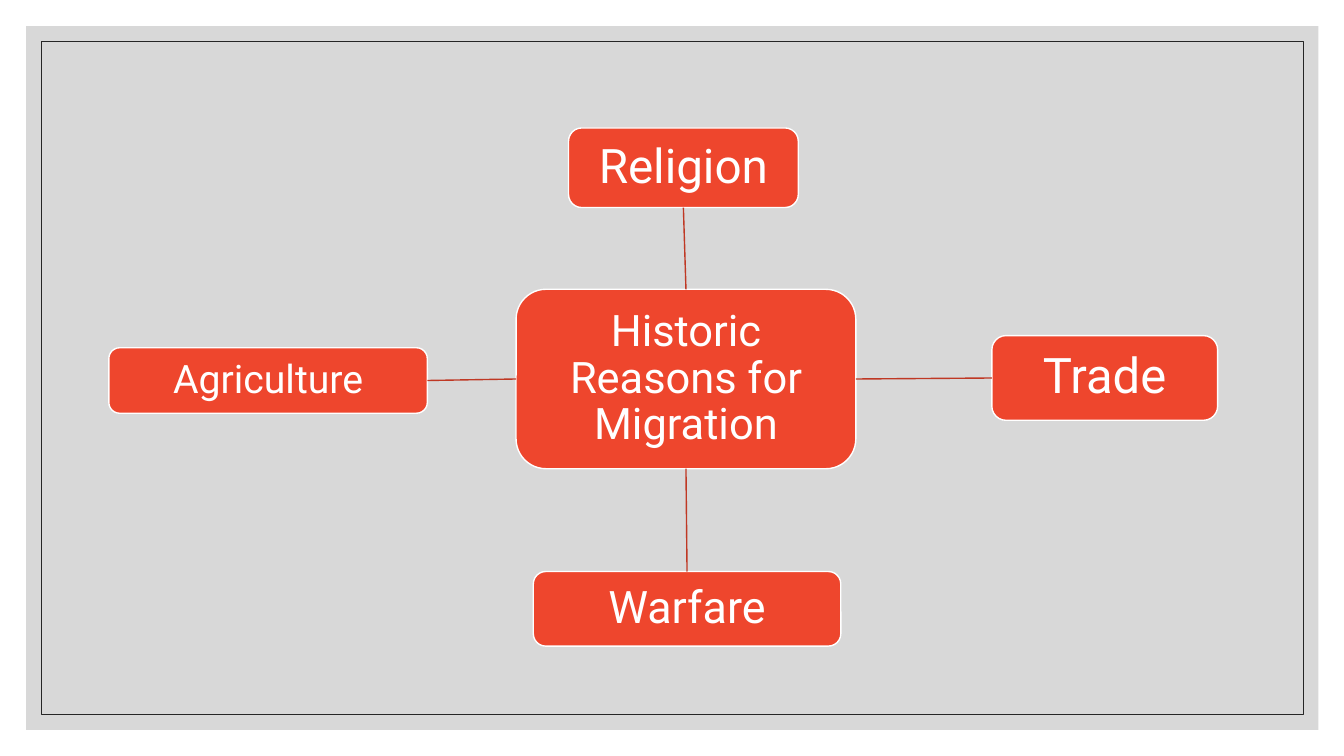
from dataclasses import dataclass

from lxml import etree
from pptx import Presentation
from pptx import util as u
from pptx.dml.color import RGBColor
from pptx.enum import shapes, text
from pptx.oxml.ns import qn
from pptx.shapes.autoshape import Shape
from pptx.slide import Slide

WIDTH, HEIGHT = u.Inches(13.333), u.Inches(7.5)
TOP, LEFT, BOTTOM, RIGHT = range(4)


@dataclass(frozen=True)
class Theme:
    font: str = "Roboto"
    backdrop: str = "BFBFBF"
    backdrop_opacity: int = 60
    frame: str = "262626"
    node: str = "EE462D"
    light: str = "FFFFFF"
    link: str = "BF3824"
    center_size: int = 31
    religion_size: int = 34
    trade_size: int = 35
    warfare_size: int = 32
    agriculture_size: int = 28


THEME = Theme()


@dataclass(frozen=True)
class Area:
    """Left, top, width and height as percentages of the slide."""
    left: float
    top: float
    width: float
    height: float


@dataclass(frozen=True)
class Node:
    label: str
    area: Area
    size: int
    margin: float = 0.09


@dataclass(frozen=True)
class Branch:
    node: Node
    center_side: int
    node_side: int


BACKDROP = Area(1.95, 3.47, 96.15, 93.07)
FRAME = Area(3.08, 5.47, 93.9, 89.07)
CENTER = Node("Historic Reasons for Migration",
              Area(38.4, 38.27, 25.28, 23.73), THEME.center_size)
BRANCHES = [
    Branch(Node("Religion", Area(42.3, 16.93, 17.1, 10.53), THEME.religion_size), TOP, BOTTOM),
    Branch(Node("Trade", Area(73.8, 44.4, 16.8, 11.2), THEME.trade_size, 0.1), RIGHT, LEFT),
    Branch(Node("Warfare", Area(39.68, 75.6, 22.88, 9.87), THEME.warfare_size), BOTTOM, TOP),
    Branch(Node("Agriculture", Area(8.1, 46, 23.7, 8.67), THEME.agriculture_size, 0.08), LEFT, RIGHT),
]


def color(value: str) -> RGBColor:
    return RGBColor.from_string(value)


def add_area(slide: Slide, kind: shapes.MSO_SHAPE, area: Area) -> Shape:
    shape = slide.shapes.add_shape(
        kind,
        round(WIDTH * area.left / 100), round(HEIGHT * area.top / 100),
        round(WIDTH * area.width / 100), round(HEIGHT * area.height / 100))
    shape.shadow.inherit = False
    return shape


def set_line(shape, value: str, width: float) -> None:
    shape.line.color.rgb = color(value)
    shape.line.width = u.Pt(width)


def set_fill(shape: Shape, value: str) -> None:
    shape.fill.solid()
    shape.fill.fore_color.rgb = color(value)


def add_background(slide: Slide) -> None:
    backdrop = add_area(slide, shapes.MSO_SHAPE.RECTANGLE, BACKDROP)
    set_fill(backdrop, THEME.backdrop)
    backdrop.line.fill.background()
    tone = backdrop.element.spPr.find(f"{qn('a:solidFill')}/{qn('a:srgbClr')}")
    etree.SubElement(tone, qn("a:alpha")).set("val", str(THEME.backdrop_opacity * 1000))

    frame = add_area(slide, shapes.MSO_SHAPE.RECTANGLE, FRAME)
    frame.fill.background()
    set_line(frame, THEME.frame, 0.5)


def add_node(slide: Slide, node: Node) -> Shape:
    shape = add_area(slide, shapes.MSO_SHAPE.ROUNDED_RECTANGLE, node.area)
    set_fill(shape, THEME.node)
    set_line(shape, THEME.light, 1)
    frame = shape.text_frame
    frame.text = node.label
    frame.word_wrap = True
    frame.vertical_anchor = text.MSO_ANCHOR.MIDDLE
    frame.margin_left = frame.margin_right = u.Inches(node.margin)
    frame.margin_top = frame.margin_bottom = u.Inches(node.margin)
    paragraph = frame.paragraphs[0]
    paragraph.alignment = text.PP_ALIGN.CENTER
    paragraph.line_spacing = 0.9
    font = paragraph.runs[0].font
    font.name = THEME.font
    font.size = u.Pt(node.size)
    font.color.rgb = color(THEME.light)
    return shape


def add_branch(slide: Slide, center: Shape, branch: Branch) -> None:
    shape = add_node(slide, branch.node)
    link = slide.shapes.add_connector(shapes.MSO_CONNECTOR.STRAIGHT, 0, 0, 0, 0)
    link.begin_connect(center, branch.center_side)
    link.end_connect(shape, branch.node_side)
    set_line(link, THEME.link, 1)
    etree.SubElement(link.element.spPr, qn("a:effectLst"))


def main() -> None:
    presentation = Presentation()
    presentation.slide_width, presentation.slide_height = WIDTH, HEIGHT
    slide = presentation.slides.add_slide(presentation.slide_layouts[6])
    add_background(slide)
    center = add_node(slide, CENTER)
    for branch in BRANCHES:
        add_branch(slide, center, branch)
    presentation.save("out.pptx")


if __name__ == "__main__":
    main()
